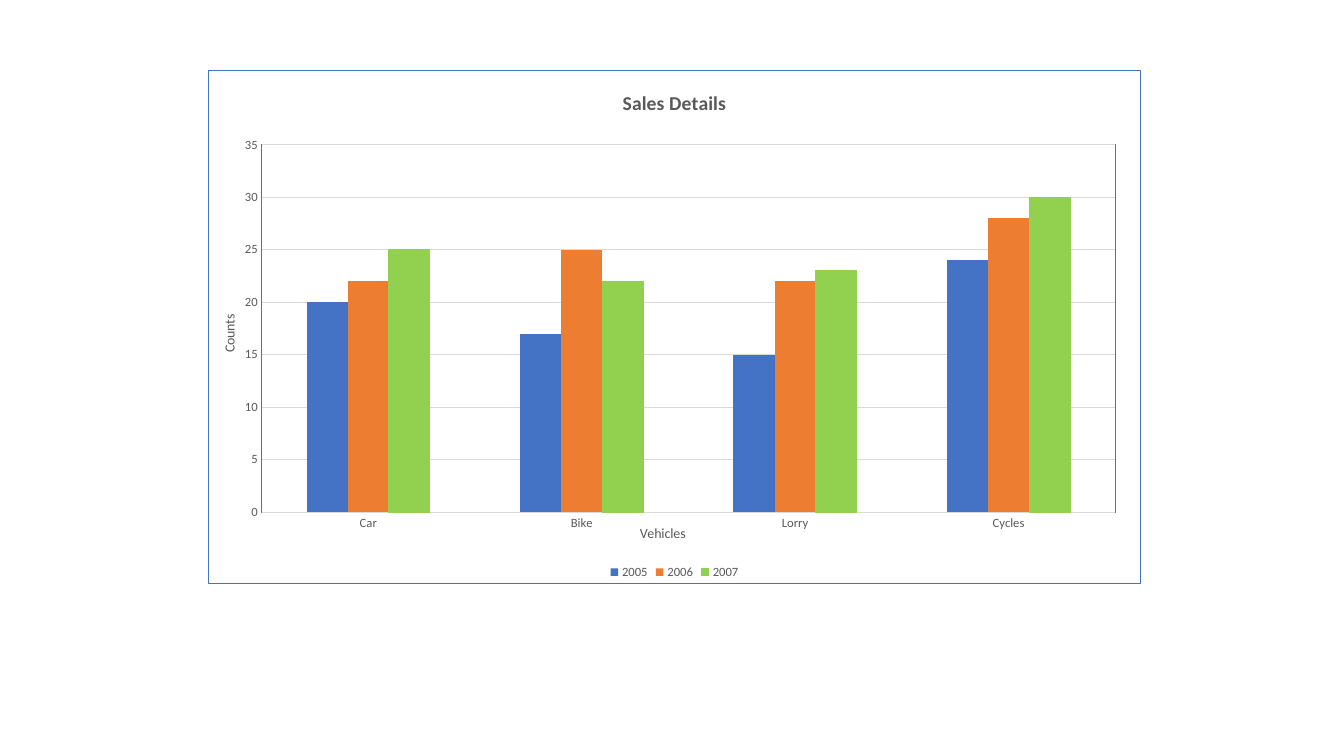
from lxml import etree
from pptx import Presentation
from pptx import util as u
from pptx.chart.data import CategoryChartData
from pptx.dml.color import RGBColor
from pptx.enum import chart as ch
from pptx.oxml import parse_xml
from pptx.oxml.ns import nsdecls, qn

PX = 914400 / 100.8
BLUE = RGBColor(0x44, 0x72, 0xC4)
ORANGE = RGBColor(0xED, 0x7D, 0x31)
GREEN = RGBColor(0x92, 0xD0, 0x50)
GRAY = RGBColor(0x59, 0x59, 0x59)
GRID = RGBColor(0xD9, 0xD9, 0xD9)
VEHICLES = ["Car", "Bike", "Lorry", "Cycles"]
SALES = [
    ("2005", [20, 17, 15, 24], BLUE),
    ("2006", [22, 25, 22, 28], ORANGE),
    ("2007", [25, 22, 23, 30], GREEN),
]


def px(n):
    """Turn px into EMU."""
    return u.Emu(round(n * PX))


def set_font(font, size, bold=False):
    """Give a font the chart's typeface and text colour."""
    font.name, font.size, font.bold = "Calibri", u.Pt(size), bold
    font.color.rgb = GRAY


def set_line(line, color):
    """Draw a thin line in one colour."""
    line.color.rgb = color
    line.width = u.Pt(0.75)


def set_layout(el, index, **values):
    """Place a chart part by fractions of the chart's size."""
    for old in el.findall(qn("c:layout")):
        el.remove(old)
    layout = parse_xml(f"<c:layout {nsdecls('c')}><c:manualLayout/></c:layout>")
    for tag, value in values.items():
        etree.SubElement(layout[0], qn(f"c:{tag}")).set("val", str(value))
    el.insert(index, layout)


def outline():
    """Return shape properties with no fill and a thin blue line."""
    return parse_xml(
        f"<c:spPr {nsdecls('c', 'a')}><a:noFill/><a:ln w=\"9525\"><a:solidFill>"
        f"<a:srgbClr val=\"{BLUE}\"/></a:solidFill></a:ln></c:spPr>"
    )


def set_title(owner, text, size, bold=False):
    """Title a chart or an axis."""
    tf = (owner.chart_title if hasattr(owner, "chart_title") else owner.axis_title).text_frame
    tf.text = text
    set_font(tf.paragraphs[0].font, size, bold)


def style_axis(axis, title, x, y):
    """Style an axis and place its title."""
    axis.major_tick_mark = axis.minor_tick_mark = ch.XL_TICK_MARK.NONE
    set_font(axis.tick_labels.font, 9)
    set_title(axis, title, 10)
    set_layout(axis.axis_title._element, 1, xMode="edge", yMode="edge", x=x, y=y)


def add_sales_chart(s, x, y, w, h):
    """Add the clustered column chart of vehicle sales."""
    data = CategoryChartData()
    data.categories = VEHICLES
    for name, values, _ in SALES:
        data.add_series(name, values)
    chart = s.shapes.add_chart(
        ch.XL_CHART_TYPE.COLUMN_CLUSTERED, px(x), px(y), px(w), px(h), data
    ).chart
    set_font(chart.font, 10)
    set_title(chart, "Sales Details", 14, True)
    chart.chart_title.include_in_layout = False

    plot = chart.plots[0]
    plot.gap_width, plot.overlap, plot.vary_by_categories = 219, 0, False
    for series, (_, _, color) in zip(plot.series, SALES):
        series.format.fill.solid()
        series.format.fill.fore_color.rgb = color
    set_line(plot.series[2].format.line, GREEN)

    style_axis(chart.category_axis, "Vehicles", 0.46, 0.88)
    set_line(chart.category_axis.format.line, GRID)
    axis = chart.value_axis
    style_axis(axis, "Counts", 0.01, 0.47)
    axis.minimum_scale, axis.maximum_scale, axis.major_unit = 0, 35, 5
    axis.format.line.fill.background()
    set_line(axis.major_gridlines.format.line, GRID)

    chart.has_legend = True
    chart.legend.position = ch.XL_LEGEND_POSITION.BOTTOM
    chart.legend.include_in_layout = False
    set_font(chart.legend.font, 9)

    body = chart._chartSpace.find(qn("c:chart"))
    body.addnext(outline())
    area = body.find(qn("c:plotArea"))
    area.append(outline())
    set_layout(area, 0, layoutTarget="inner", xMode="edge", yMode="edge",
               x=0.057, y=0.145, w=0.916, h=0.716)


def main():
    """Build the slide and save it."""
    prs = Presentation()
    prs.slide_width, prs.slide_height = px(1344), px(756)
    s = prs.slides.add_slide(prs.slide_layouts[6])
    add_sales_chart(s, 208, 70, 933, 514)
    prs.save("out.pptx")


if __name__ == "__main__":
    main()
